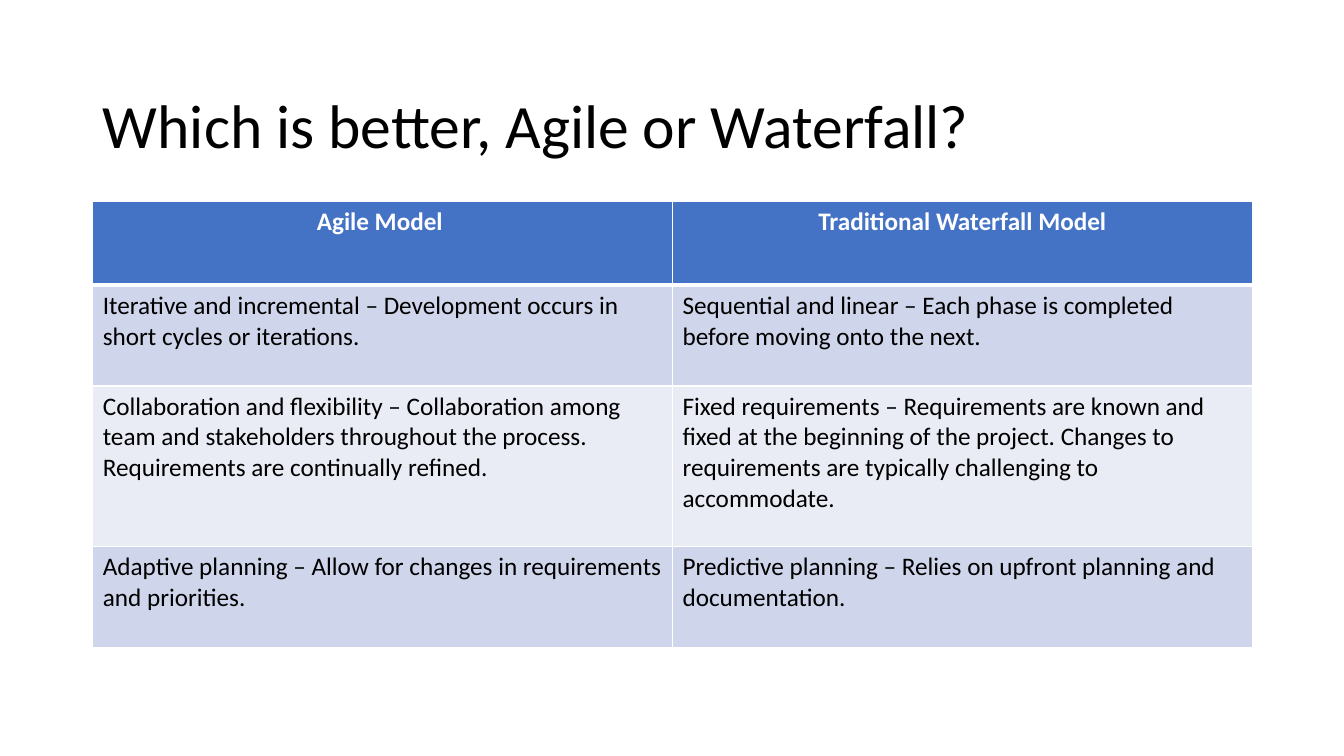
from dataclasses import dataclass

from lxml.etree import SubElement
from pptx import Presentation
from pptx.dml.color import RGBColor
from pptx.enum.text import MSO_ANCHOR, PP_ALIGN
from pptx.oxml.ns import qn
from pptx.text.text import TextFrame
from pptx.util import Inches, Pt

FONT = "Calibri"
BLACK, WHITE = "000000", "FFFFFF"
LEFT, WIDTH = 0.92, 11.5


@dataclass
class Row:
    height: float
    fill: str
    agile: str
    waterfall: str
    header: bool = False


ROWS = [
    Row(0.83, "4472C4", "Agile Model ", "Traditional Waterfall Model", header=True),
    Row(1, "CFD5EA",
        "Iterative and incremental – Development occurs in short cycles or iterations.",
        "Sequential and linear – Each phase is completed before moving onto the next."),
    Row(1.59, "E9EBF5",
        "Collaboration and flexibility – Collaboration among team and stakeholders "
        "throughout the process. Requirements are continually refined.",
        "Fixed requirements – Requirements are known and fixed at the beginning of the "
        "project. Changes to requirements are typically challenging to accommodate."),
    Row(1, "CFD5EA",
        "Adaptive planning – Allow for changes in requirements and priorities.",
        "Predictive planning – Relies on upfront planning and documentation."),
]


def rgb(color: str) -> RGBColor:
    return RGBColor.from_string(color)


def write(tf: TextFrame, text: str, size: float, color: str,
          align: PP_ALIGN, bold: bool = False) -> None:
    tf.text = text
    p = tf.paragraphs[0]
    p.alignment = align
    font = p.runs[0].font
    font.name, font.size, font.bold = FONT, Pt(size), bold
    font.color.rgb = rgb(color)


def add_borders(cell, top: float, bottom: float) -> None:
    tc_pr = cell._tc.get_or_add_tcPr()
    for side, width in (("L", 1), ("R", 1), ("T", top), ("B", bottom)):
        line = SubElement(tc_pr, qn(f"a:ln{side}"), w=str(Pt(width)))
        fill = SubElement(line, qn("a:solidFill"))
        SubElement(fill, qn("a:srgbClr"), val=WHITE)


def add_title(s) -> None:
    title = s.shapes.title
    title.left, title.top = Inches(LEFT), Inches(0.55)
    title.width, title.height = Inches(WIDTH), Inches(1.45)
    tf = title.text_frame
    tf.word_wrap = True
    tf.vertical_anchor = MSO_ANCHOR.MIDDLE
    write(tf, "Which is better, Agile or Waterfall?", 44, BLACK, PP_ALIGN.LEFT)
    tf.paragraphs[0].line_spacing = 0.9


def add_comparison(s) -> None:
    height = sum(row.height for row in ROWS)
    table = s.shapes.add_table(len(ROWS), 2, Inches(LEFT), Inches(2),
                               Inches(WIDTH), Inches(height)).table
    for i, row in enumerate(ROWS):
        table.rows[i].height = Inches(row.height)
        color = WHITE if row.header else BLACK
        align = PP_ALIGN.CENTER if row.header else PP_ALIGN.LEFT
        for j, text in enumerate((row.agile, row.waterfall)):
            cell = table.cell(i, j)
            write(cell.text_frame, text, 18, color, align, row.header)
            add_borders(cell, top=3 if i == 1 else 1, bottom=3 if row.header else 1)
            cell.fill.solid()
            cell.fill.fore_color.rgb = rgb(row.fill)


def main() -> None:
    prs = Presentation()
    prs.slide_width, prs.slide_height = Inches(13.33), Inches(7.5)
    s = prs.slides.add_slide(prs.slide_layouts.get_by_name("Title Only"))
    add_title(s)
    add_comparison(s)
    prs.save("out.pptx")


if __name__ == "__main__":
    main()
